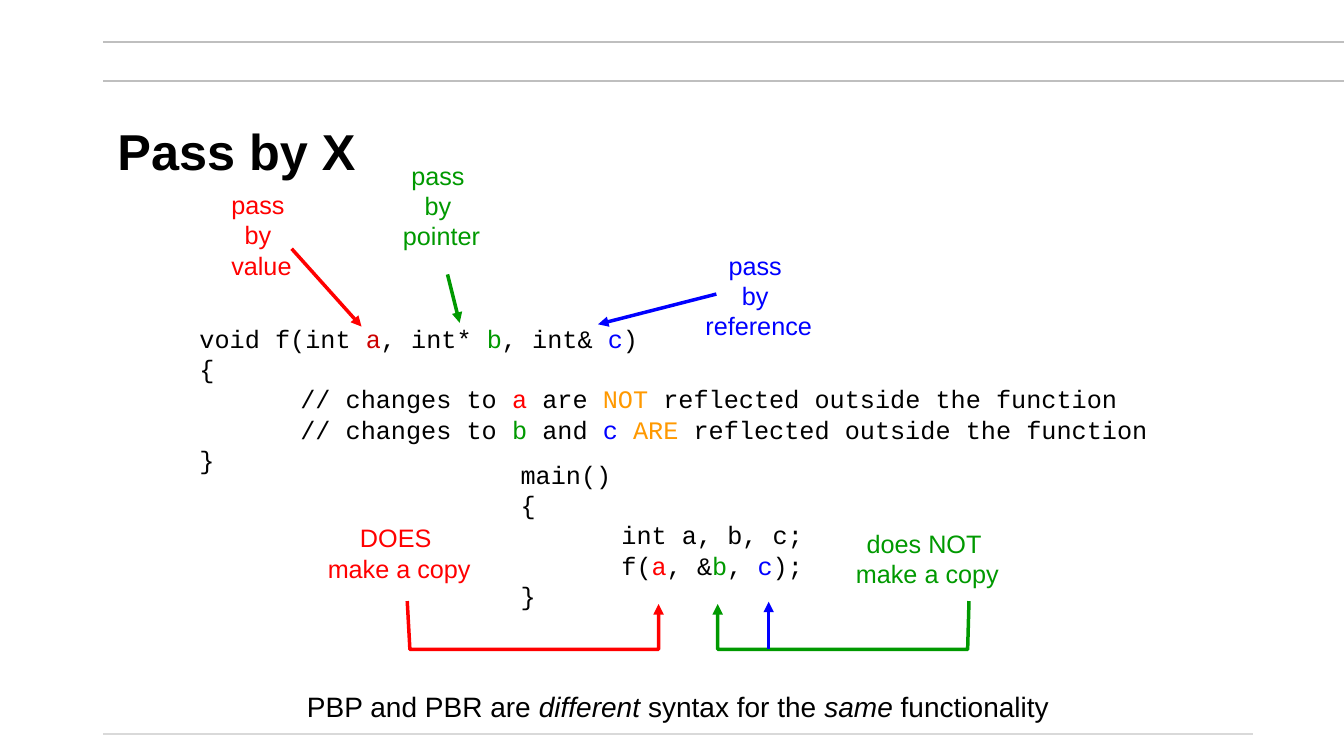
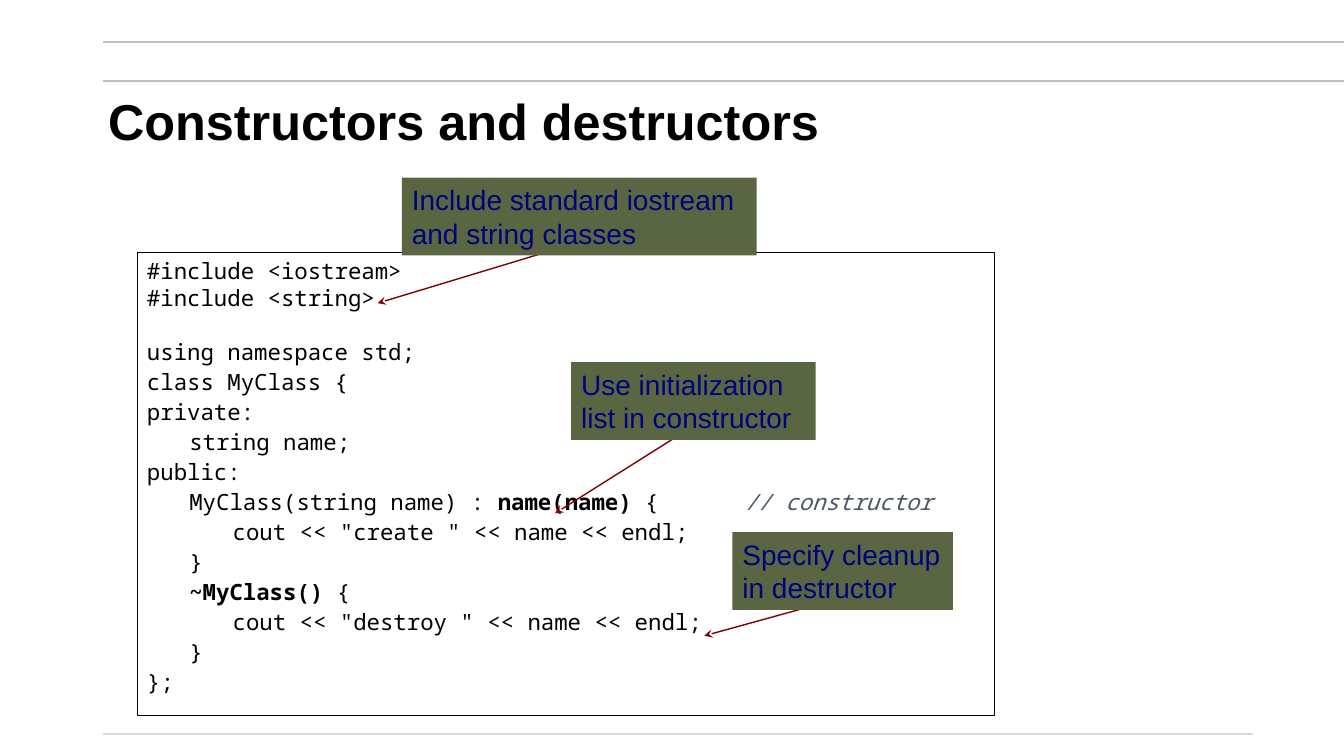
from lxml.etree import SubElement
from pptx import Presentation
from pptx.dml.color import RGBColor
from pptx.enum.shapes import MSO_CONNECTOR, MSO_SHAPE
from pptx.enum.text import MSO_ANCHOR, PP_ALIGN
from pptx.oxml.ns import qn
from pptx.util import Inches, Pt


class Theme:
    sans, code, mono = "Arial", "Courier New", "Noto Sans Mono"
    head, note, body, small = 36, 20, 18, 16
    wide, thick, thin, hair = 2.5, 1.5, 1, 0.75
    black, white = "000000", "FFFFFF"
    red, dark, green, blue, gold = "FF0000", "CC0000", "009900", "0000FF", "FF9900"
    rule, foot = "BFBFBF", "D9D9D9"
    olive, navy, wine, slate = "596641", "00027F", "7F0101", "495764"


T = Theme
WIDE, HIGH = Inches(13.33), Inches(7.5)

# All places are percent of slide width and height.
# A line of text is a string or a list of runs: string or (string, style).
RULES = [(7.7, 10.7, 100, T.rule), (7.7, 5.6, 100, T.rule), (7.7, 97.1, 93.2, T.foot)]

# Slide 1 content
A, B, C = ("a", T.red), ("b", T.green), ("c", T.blue)
TAIL = " reflected outside the function"
FUNC = [
    ["void f(int ", ("a", T.dark), ", int* ", B, ", int& ", C, ")"],
    "{",
    ["\t// changes to ", A, " are ", ("NOT", T.gold), TAIL],
    ["\t// changes to ", B, " and ", ("c ", T.blue), ("ARE", T.gold), TAIL],
    "}",
]
MAIN = [
    "main()",
    "{",
    "\tint a, b, c;",
    ["\tf(", A, ", &", B, ", ", C, ");"],
    "}",
]
CODES = [((14.1, 42.1, 72.4, 21.6), FUNC), ((38, 60.1, 22.7, 21.6), MAIN)]
TAGS = [
    ((16.4, 24.4, 6.1, 13.5), ["pass ", "by ", "value"], T.red),
    ((29.2, 20.5, 7.3, 13.5), ["pass ", "by ", "pointer"], T.green),
    ((51.7, 32.4, 9.5, 13.5), ["pass ", "by ", "reference"], T.blue),
    ((23.6, 68.5, 12.2, 9.5), ["DOES ", "make a copy"], T.red),
    ((62.9, 69.2, 12.2, 9.5), ["does NOT ", "make a copy"], T.green),
]
ARROWS = [
    ((21.7, 32.9), (26.9, 43.2), T.red),
    ((33.3, 36.3), (34.2, 42.7), T.green),
    ((53.3, 38.9), (44.5, 42.9), T.blue),
    ((57.2, 85.9), (57.2, 79.6), T.blue),
]
HOOKS = [
    ([(30.3, 79.5), (30.5, 85.9), (49, 85.9), (49, 79.9)], T.red),
    ([(72.1, 79.5), (72, 85.9), (53.4, 85.9), (53.4, 79.9)], T.green),
]
MORAL = ["PBP and PBR are ", ("different", "i"), " syntax for the ",
         ("same", "i"), " functionality"]

# Slide 2 content
HEADER = ["#include <iostream>", "#include <string>", "using namespace std;"]
CLASS = [
    "class MyClass {",
    "private:",
    "\tstring name;",
    "public:",
    ["\tMyClass(string name) : ", ("name(name)", "b"), " {\t",
     ("// constructor", "i", T.slate)],
    '\t\tcout << "create " << name << endl;',
    "\t}",
    ["\t", ("~MyClass()", "b"), " {"],
    '\t\tcout << "destroy " << name << endl;',
    "\t}",
    "};",
]
NOTES = [
    ("Include standard iostream and string classes",
     (29.9, 23.5, 26.4, 10.3), (42.6, 32.3), (28.1, 40.1)),
    ("Use initialization list in constructor",
     (42.5, 47.9, 18.2, 10.3), (51.2, 56.8), (41.3, 67.9)),
    ("Specify cleanup in destructor",
     (54.5, 70.4, 16.4, 10.3), (62.4, 79.2), (52.4, 84.1)),
]


def rgb(hue):
    return RGBColor.from_string(hue)


def spot(x, y):
    return round(WIDE * x / 100), round(HIGH * y / 100)


def area(box):
    return spot(*box[:2]) + spot(*box[2:])


def write(shape, lines, face, size, hue=T.black, align=PP_ALIGN.LEFT,
          wrap=False, tabs=()):
    """Fill a shape with lines of runs and return its paragraphs."""
    frame = shape.text_frame
    frame.word_wrap = wrap
    frame.vertical_anchor = MSO_ANCHOR.TOP
    for n, line in enumerate(lines):
        para = frame.add_paragraph() if n else frame.paragraphs[0]
        para.alignment = align
        font = para.font
        font.name, font.size, font.color.rgb = face, Pt(size), rgb(hue)
        if tabs:
            stops = SubElement(para._p.get_or_add_pPr(), qn("a:tabLst"))
            # Schema order: tab stops come before the default run style
            stops.getparent().insert(0, stops)
            for stop in tabs:
                SubElement(stops, qn("a:tab"), pos=str(Inches(stop)), algn="l")
        for part in [line] if isinstance(line, str) else line:
            text, *marks = (part,) if isinstance(part, str) else part
            run = para.add_run()
            run.text = text
            for mark in marks:
                if mark == "b":
                    run.font.bold = True
                elif mark == "i":
                    run.font.italic = True
                else:
                    run.font.color.rgb = rgb(mark)
    return frame.paragraphs


def label(slide, box, lines, *args, **opts):
    return write(slide.shapes.add_textbox(*area(box)), lines, *args, **opts)


def panel(slide, box, fill, edge=None):
    shape = slide.shapes.add_shape(MSO_SHAPE.RECTANGLE, *area(box))
    shape.shadow.inherit = False
    shape.fill.solid()
    shape.fill.fore_color.rgb = rgb(fill)
    if edge:
        ink(shape, edge, T.hair)
    else:
        shape.line.fill.background()
    return shape


def ink(shape, hue, width, tip=None):
    shape.line.color.rgb = rgb(hue)
    shape.line.width = Pt(width)
    if tip:
        SubElement(shape.line._get_or_add_ln(), qn("a:tailEnd"), type=tip)


def line(slide, start, end, hue, width, tip=None):
    link = slide.shapes.add_connector(MSO_CONNECTOR.STRAIGHT, *spot(*start), *spot(*end))
    ink(link, hue, width, tip)
    SubElement(link._element.spPr, qn("a:effectLst"))


def hook(slide, points, hue):
    first, *rest = [spot(*point) for point in points]
    pen = slide.shapes.build_freeform(*first)
    pen.add_line_segments(rest, close=False)
    shape = pen.convert_to_shape()
    shape.shadow.inherit = False
    shape.fill.background()
    ink(shape, hue, T.wide, "triangle")


def start(deck, title, box):
    """Add a slide with the shared rules and title style."""
    slide = deck.slides.add_slide(deck.slide_layouts[6])
    for left, top, right, hue in RULES:
        line(slide, (left, top), (right, top), hue, T.thick)
    shape = slide.shapes.add_textbox(*area(box))
    para = write(shape, [title], T.sans, T.head, wrap=True)[0]
    shape.text_frame.vertical_anchor = MSO_ANCHOR.MIDDLE
    para.font.bold = True
    para.line_spacing = 0.9
    return slide


def passing(deck):
    slide = start(deck, "Pass by X", (8, 12, 85.4, 16.7))
    for box, lines in CODES:
        label(slide, box, lines, T.code, T.body, tabs=[1])
    for box, lines, hue in TAGS:
        label(slide, box, lines, T.sans, T.body, hue, PP_ALIGN.CENTER)
    for points, hue in HOOKS:
        hook(slide, points, hue)
    for tail, head, hue in ARROWS:
        line(slide, tail, head, hue, T.wide, "triangle")
    label(slide, (22.1, 90.5, 57.1, 5.9), [MORAL], T.sans, T.note)


def building(deck):
    slide = start(deck, "Constructors and destructors", (7.3, 11.6, 85.4, 9.6))
    # Code listing: tight header lines, looser class lines
    tight, loose = Pt(19.2), Pt(21.4)
    listing = panel(slide, (10.2, 33.4, 63.8, 61.2), T.white, T.black)
    paras = write(listing, HEADER + CLASS, T.mono, T.small, wrap=True,
                  tabs=[0.42, 0.85, 5.93])
    for n, para in enumerate(paras):
        para.line_spacing = tight if n < len(HEADER) else loose
    paras[len(HEADER) - 1].space_before = tight
    # Callouts
    for text, box, tail, head in NOTES:
        line(slide, tail, head, T.wine, T.thin, "stealth")
        write(panel(slide, box, T.olive), [text], T.sans, T.note, T.navy, wrap=True)


def main():
    deck = Presentation()
    deck.slide_width, deck.slide_height = WIDE, HIGH
    passing(deck)
    building(deck)
    deck.save("out.pptx")


if __name__ == "__main__":
    main()
